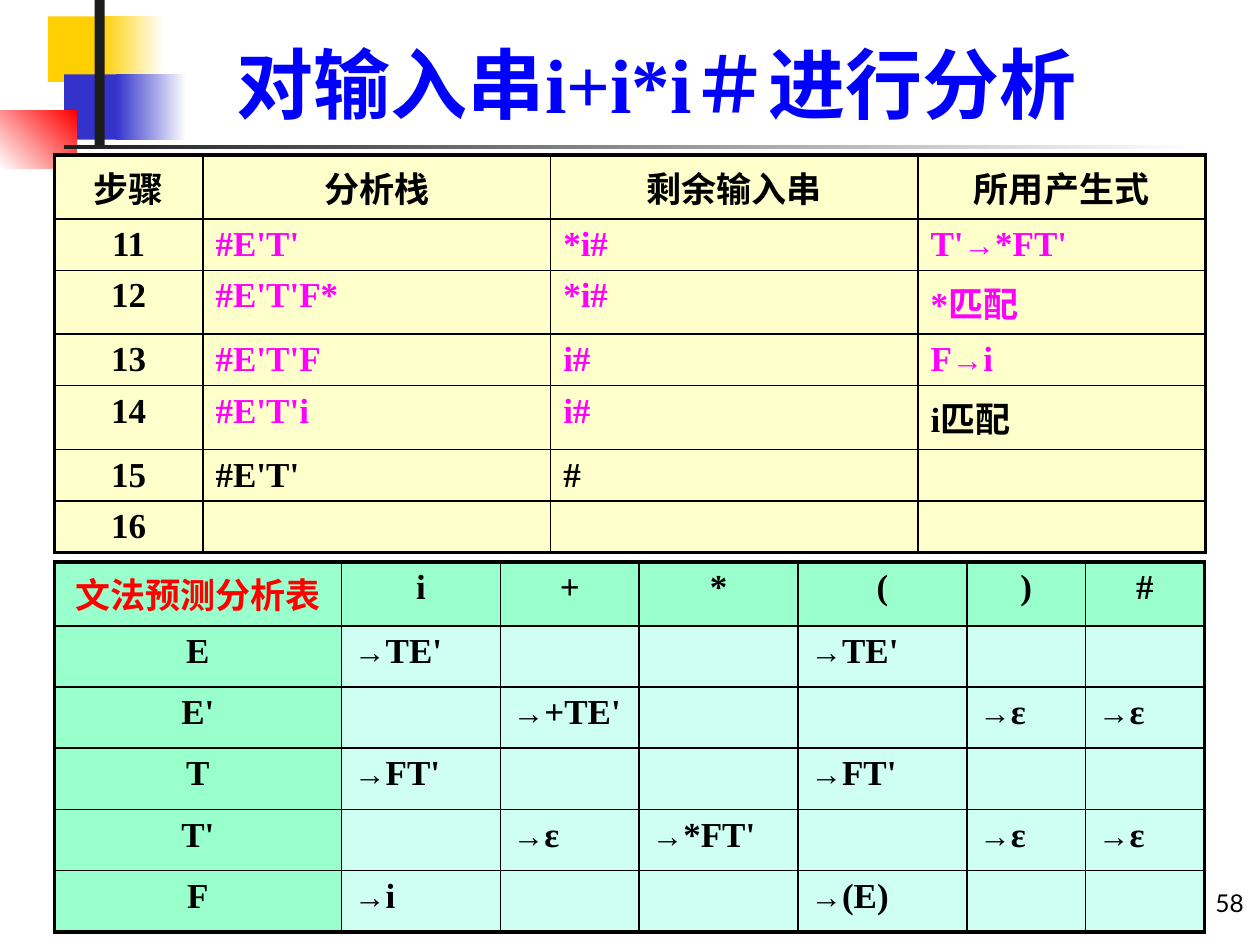
from lxml import etree
from pptx import Presentation
from pptx import util as u
from pptx.dml.color import RGBColor
from pptx.enum import shapes, text
from pptx.oxml.ns import qn

Pt = u.Pt


class Theme:
    serif, sans = "Times New Roman", "Lato"
    title, body, arrow, number = 44, 20, 18, 14
    black, ink, white = "000000", "1C1C1C", "FFFFFF"
    gold, indigo, red, blue, pink = "FFCF01", "3333CC", "FF0000", "0000FF", "FF00FF"
    cream, mint, aqua = "FFFFCC", "99FFCC", "CFFFF2"
    thin, thick = 1, 2.25
    cell_bottom = 0.5  # tight lower margin, so the rows keep their set heights


TITLE = "对输入串i+i*i＃进行分析"
PAGE = "58"

# left, top, width, height, colours (two make a gradient), angle
DECOR = [
    (27.4, 9.4, 48.2, 37.4, [Theme.gold], 0),
    (57.6, 9.4, 36, 37.4, [Theme.gold, Theme.white], 0),
    (36.7, 42.5, 46.1, 37.4, [Theme.indigo], 0),
    (66.2, 42.5, 40.3, 37.4, [Theme.indigo, Theme.white], 0),
    (0, 63.4, 43.9, 33.1, [Theme.white, Theme.red], 45),
    (54, 0, 5.8, 82.8, [Theme.ink], 0),
    (36.7, 82.8, 648, 2.2, [Theme.ink, Theme.white], 0),
]

STEPS = [
    ["步骤", "分析栈", "剩余输入串", "所用产生式"],
    ["11", "#E'T'", "*i#", "T'→*FT'"],
    ["12", "#E'T'F*", "*i#", "*匹配"],
    ["13", "#E'T'F", "i#", "F→i"],
    ["14", "#E'T'i", "i#", "i匹配"],
    ["15", "#E'T'", "#", ""],
    ["16", "", "", ""],
]
STEP_COLS = [85, 198.7, 209.9, 164.2]
STEP_ROWS = [36.5, 29.4, 36.5, 29.4, 36.5, 29.4, 29.4]

PREDICT = [
    ["文法预测分析表", "i", "+", "*", "(", ")", "#"],
    ["E", "→TE'", "", "", "→TE'", "", ""],
    ["E'", "", "→+TE'", "", "", "→ε", "→ε"],
    ["T", "→FT'", "", "", "→FT'", "", ""],
    ["T'", "", "→ε", "→*FT'", "", "→ε", "→ε"],
    ["F", "→i", "", "", "→(E)", "", ""],
]
PREDICT_COLS = [164.2, 90.7, 79.4, 90.7, 96.5, 67.9, 67.9]
PREDICT_ROWS = [36.5] + [35] * 5


def rgb(value):
    return RGBColor.from_string(value)


def set_font(font, name, size, color, bold=None):
    font.name, font.size, font.bold = name, Pt(size), bold
    font.color.rgb = rgb(color)


def add_block(s, left, top, width, height, colors, angle):
    sp = s.shapes.add_shape(shapes.MSO_SHAPE.RECTANGLE,
                            Pt(left), Pt(top), Pt(width), Pt(height))
    sp.shadow.inherit = False
    sp.line.fill.background()
    if len(colors) == 1:
        sp.fill.solid()
        sp.fill.fore_color.rgb = rgb(colors[0])
    else:
        sp.fill.gradient()
        sp.fill.gradient_angle = angle
        for stop, color in zip(sp.fill.gradient_stops, colors):
            stop.color.rgb = rgb(color)


def add_label(s, box, words, align, *style):
    tf = s.shapes.add_textbox(*map(Pt, box)).text_frame
    tf.word_wrap = True
    tf.vertical_anchor = text.MSO_ANCHOR.BOTTOM
    p = tf.paragraphs[0]
    p.text, p.alignment = words, align
    set_font(p.font, *style)


def set_borders(cell, widths):
    tcPr = cell._tc.get_or_add_tcPr()
    for i, (side, width) in enumerate(zip("LRTB", widths)):
        ln = etree.Element(qn(f"a:ln{side}"), w=str(Pt(width)))
        fill = etree.SubElement(ln, qn("a:solidFill"))
        etree.SubElement(fill, qn("a:srgbClr"), val=Theme.black)
        tcPr.insert(i, ln)


def add_grid(s, left, top, cols, heights, rows, style):
    """style(r, c) gives the fill, the text colour and whether to centre."""
    frame = s.shapes.add_table(len(rows), len(cols), Pt(left), Pt(top),
                               Pt(sum(cols)), Pt(sum(heights)))
    table = frame.table
    table.first_row = table.horz_banding = False
    for col, width in zip(table.columns, cols):
        col.width = Pt(width)
    for row, height in zip(table.rows, heights):
        row.height = Pt(height)
    for r, row in enumerate(rows):
        for c, words in enumerate(row):
            cell = table.cell(r, c)
            fill, color, centred = style(r, c)
            cell.margin_bottom = Pt(Theme.cell_bottom)
            cell.fill.solid()
            cell.fill.fore_color.rgb = rgb(fill)
            outer = (c == 0, c == len(cols) - 1, r == 0, r == len(rows) - 1)
            set_borders(cell, [Theme.thick if o else Theme.thin for o in outer])
            p = cell.text_frame.paragraphs[0]
            p.alignment = text.PP_ALIGN.CENTER if centred else text.PP_ALIGN.LEFT
            set_font(p.font, Theme.serif, Theme.body, color, True)
            for part in filter(None, words.partition("→")):
                run = p.add_run()
                run.text = part
                if part == "→":
                    run.font.size = Pt(Theme.arrow)


def step_style(r, c):
    pink = 1 <= r <= 4 and c > 0 and (r, c) != (4, 3)
    return Theme.cream, Theme.pink if pink else Theme.black, r == 0 or c == 0


def predict_style(r, c):
    head = r == 0 or c == 0
    color = Theme.red if r == c == 0 else Theme.black
    return Theme.mint if head else Theme.aqua, color, head


def main():
    prs = Presentation()
    prs.slide_width, prs.slide_height = Pt(720), Pt(540)
    s = prs.slides.add_slide(prs.slide_layouts[6])

    # Corner blocks and rules
    for block in DECOR:
        add_block(s, *block)

    # Page number, clear of the table's right edge, and title
    add_label(s, (568, 491.8, 149.8, 36), PAGE, text.PP_ALIGN.RIGHT,
              Theme.sans, Theme.number, Theme.black)
    add_label(s, (90.7, 16.6, 569.5, 60.5), TITLE, text.PP_ALIGN.CENTER,
              Theme.serif, Theme.title, Theme.blue, True)

    # Prediction table and parsing steps
    add_grid(s, 31, 321.1, PREDICT_COLS, PREDICT_ROWS, PREDICT, predict_style)
    add_grid(s, 31, 88.6, STEP_COLS, STEP_ROWS, STEPS, step_style)

    prs.save("out.pptx")


if __name__ == "__main__":
    main()
